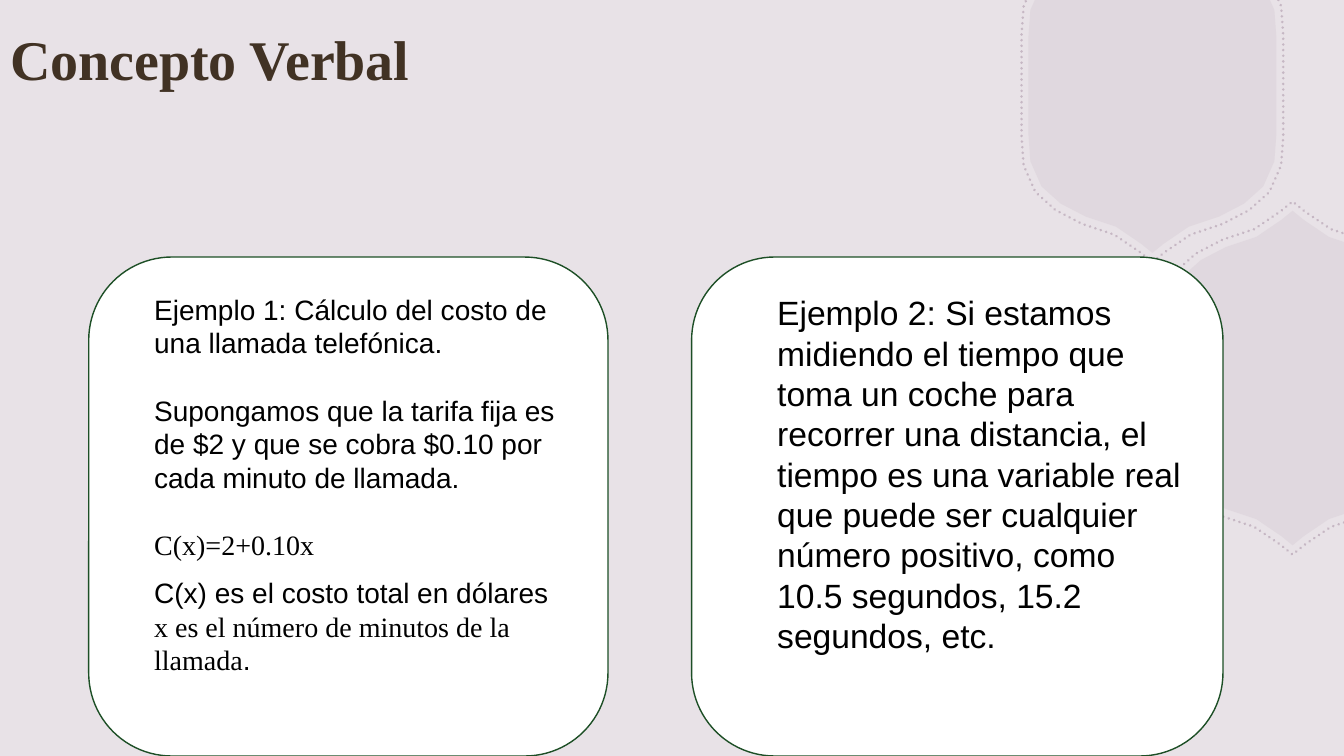
from lxml import etree
from pptx import Presentation
from pptx.dml.color import RGBColor
from pptx.enum import dml, shapes, text
from pptx.oxml import ns
from pptx.util import Inches, Pt

BACKGROUND = RGBColor(0xE8, 0xE2, 0xE7)
MAUVE = RGBColor(0xB5, 0xA2, 0xB2)
GREEN = RGBColor(0x1D, 0x4F, 0x26)
WHITE = RGBColor(0xFF, 0xFF, 0xFF)
BLACK = RGBColor(0, 0, 0)
BROWN = RGBColor(0x41, 0x32, 0x24)
SANS, SERIF = "Arial", "Times New Roman"
WIDTH, HEIGHT = 13.33, 7.5
CORNER = [(1.23, 0.48), (1.21, 0.75), (1.1, 1), (0.91, 1.17), (0.66, 1.3), (0.36, 1.4), (0.11, 1.57)]
TIP = (0, 1.66)


def badge_points(centre, scale, from_top):
    """Return a badge outline, clockwise from its top or its right side."""
    lower = CORNER + [TIP] + [(-x, y) for x, y in reversed(CORNER)]
    ring = lower + [(-x, -y) for x, y in lower]
    if from_top:
        start = len(lower) + len(CORNER)
        ring = ring[start:] + ring[:start]
    ring.append(ring[0])
    return [(centre[0] + x * scale, centre[1] + y * scale) for x, y in ring]


def clip_to_slide(points):
    """Keep the part of an outline that lies on the slide."""
    kept = []
    for (x, y), (next_x, next_y) in zip(points, points[1:]):
        depth, next_depth = min(WIDTH - x, y), min(WIDTH - next_x, next_y)
        if depth >= 0:
            kept.append((x, y))
        if depth * next_depth < 0:
            part = depth / (depth - next_depth)
            kept.append((x + part * (next_x - x), y + part * (next_y - y)))
    return kept


def set_alpha(fill, percent):
    """Make a solid fill partly transparent."""
    colour = fill._xPr.find(ns.qn("a:solidFill"))[0]
    etree.SubElement(colour, ns.qn("a:alpha"), val=str(percent * 1000))


def add_outline(page, points, closed):
    """Draw a freeform through points given in inches."""
    places = [(Inches(x), Inches(y)) for x, y in clip_to_slide(points)]
    builder = page.shapes.build_freeform(*places[0])
    builder.add_line_segments(places[1:], close=closed)
    shape = builder.convert_to_shape()
    shape.shadow.inherit = False
    return shape


def add_badge(page, centre, from_top):
    """Draw a pale badge, cut at the slide edges."""
    badge = add_outline(page, badge_points(centre, 1, from_top), True)
    badge.fill.solid()
    badge.fill.fore_color.rgb = MAUVE
    set_alpha(badge.fill, 15)
    badge.line.fill.background()


def add_rim(page, centre, from_top):
    """Draw the dotted rim around a badge."""
    rim = add_outline(page, badge_points(centre, 1.055, from_top), False)
    rim.fill.background()
    rim.line.color.rgb = MAUVE
    rim.line.width = Pt(2)
    rim.line.dash_style = dml.MSO_LINE.ROUND_DOT
    set_alpha(rim.line.fill, 65)
    rim.line._get_or_add_ln().set("cap", "rnd")


def add_card(page, left, top, width, height):
    """Draw a white rounded card."""
    card = page.shapes.add_shape(shapes.MSO_SHAPE.ROUNDED_RECTANGLE, Inches(left),
                                 Inches(top), Inches(width), Inches(height))
    card.shadow.inherit = False
    card.fill.solid()
    card.fill.fore_color.rgb = WHITE
    card.line.color.rgb = GREEN
    card.line.width = Pt(1)


def format_run(span, size, font, colour):
    """Set the size, font and colour of a run."""
    span.font.size = Pt(size)
    span.font.name = font
    span.font.color.rgb = colour


def add_text(page, box, size, gap, paragraphs):
    """Write paragraphs of (text, font) runs into a box, with a gap between them."""
    frame = page.shapes.add_textbox(*map(Inches, box)).text_frame
    frame.word_wrap = True
    for index, runs in enumerate(paragraphs):
        para = frame.add_paragraph() if index else frame.paragraphs[0]
        para.space_before = Pt(gap if index else 0)
        for words, font in runs:
            span = para.add_run()
            span.text = words
            format_run(span, size, font, BLACK)
    return frame


def add_title(page, left, top, width, height):
    """Place and format the slide title."""
    title = page.shapes.title
    title.left, title.top = Inches(left), Inches(top)
    title.width, title.height = Inches(width), Inches(height)
    title.text_frame.text = "Concepto Verbal"
    title.text_frame.vertical_anchor = text.MSO_ANCHOR.MIDDLE
    para = title.text_frame.paragraphs[0]
    para.alignment = text.PP_ALIGN.LEFT
    format_run(para.runs[0], 40, SERIF, BROWN)
    para.runs[0].font.bold = True


def add_call_example(page, left, top, width, height):
    """Place the phone call example on its card."""
    add_card(page, left, top, width, height)
    add_text(page, (left + 0.55, top + 0.3, 4.18, 5.02), 20, 24, [
        [("Ejemplo 1: Cálculo del costo de una llamada telefónica.", SANS)],
        [("Supongamos que la tarifa fija es de $2 y que se cobra $0.10 por "
          "cada minuto de llamada.", SANS)],
        [("C(x)=2+0.10x", SERIF)],
    ])
    legend = add_text(page, (left + 0.55, top + 2.97, 4.74, 1.08), 20, 0, [
        [("C(x) es el costo total en dólares", SANS)],
        [("x es el número de minutos de la llamada", SERIF), (".", SANS)],
    ])
    legend.margin_top = Inches(0.19)
    legend.margin_right = Inches(0.4)


def add_time_example(page, left, top, width, height):
    """Place the travel time example on its card."""
    add_card(page, left, top, width, height)
    add_text(page, (left + 0.75, top + 0.3, 4.25, 3.74), 24, 0, [
        [("Ejemplo 2: Si estamos midiendo el tiempo que toma un coche para "
          "recorrer una distancia, el tiempo es una variable real que puede ser "
          "cualquier número positivo, como 10.5 segundos, 15.2 segundos, etc.", SANS)],
    ])


def main():
    """Build and save the deck."""
    deck = Presentation()
    deck.slide_width, deck.slide_height = Inches(WIDTH), Inches(HEIGHT)
    page = deck.slides.add_slide(deck.slide_layouts[5])
    page.background.fill.solid()
    page.background.fill.fore_color.rgb = BACKGROUND
    for add_part in (add_badge, add_rim):
        add_part(page, (11.43, 0.85), True)
        add_part(page, (12.82, 3.75), False)
    add_time_example(page, 6.86, 2.55, 5.27, 4.95)
    add_call_example(page, 0.88, 2.55, 5.15, 4.95)
    add_title(page, 0, 0, 9.93, 1.16)
    deck.save("out.pptx")


if __name__ == "__main__":
    main()
